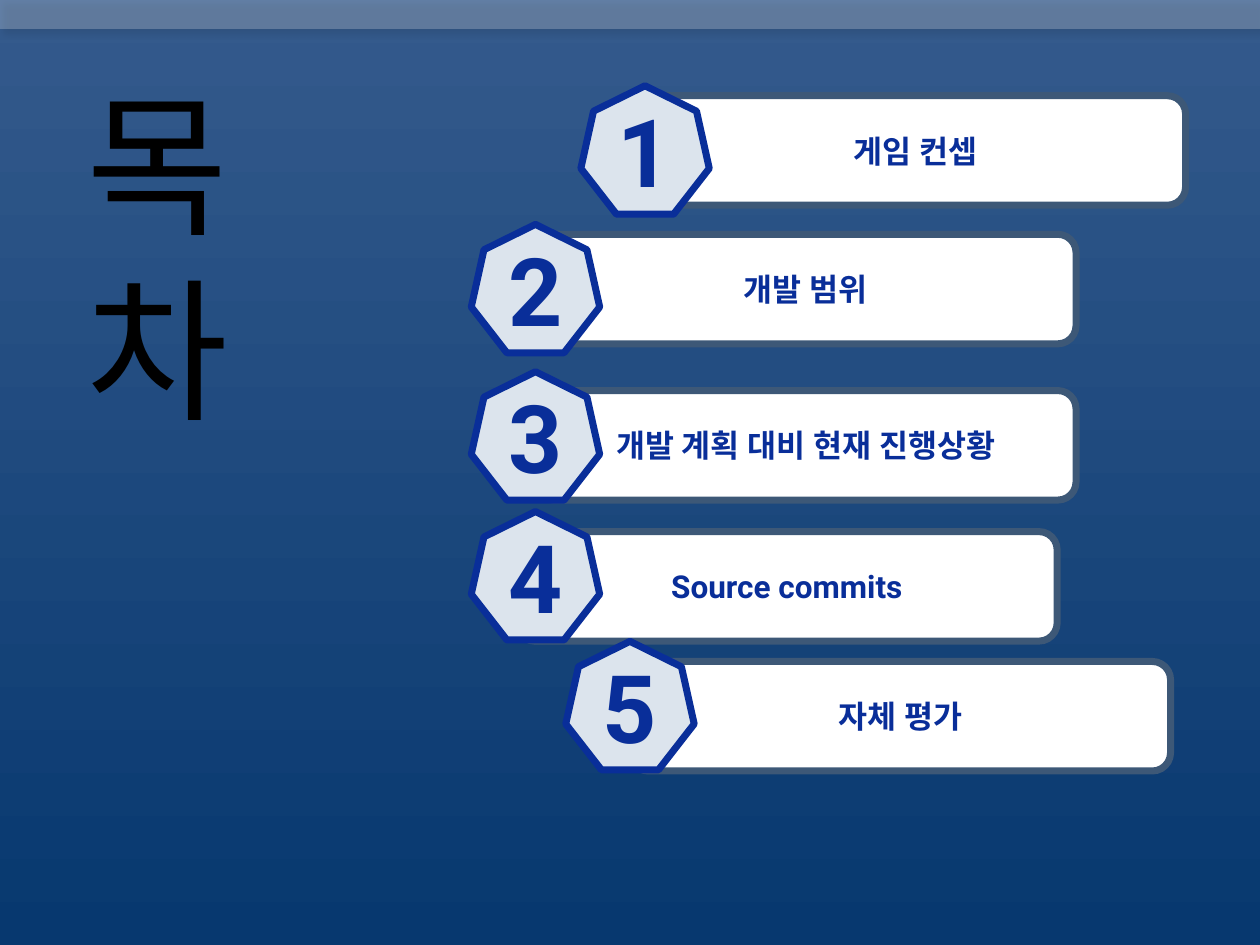
import pptx
import pptx.dml.color
import pptx.enum.shapes
import pptx.enum.text
import pptx.oxml
import pptx.oxml.ns
import pptx.util

Pt = pptx.util.Pt
MSO_SHAPE = pptx.enum.shapes.MSO_SHAPE
PP_ALIGN = pptx.enum.text.PP_ALIGN
MSO_ANCHOR = pptx.enum.text.MSO_ANCHOR
NAVY = "092E99"


def paint(color_format, hex_color):
    color_format.rgb = pptx.dml.color.RGBColor.from_string(hex_color)


def write(shape, text, size, color, bold, alignment, anchor):
    text_frame = shape.text_frame
    text_frame.text = text
    text_frame.word_wrap = True
    text_frame.vertical_anchor = anchor
    for paragraph in text_frame.paragraphs:
        paragraph.alignment = alignment
        for run in paragraph.runs:
            run.font.name = "Roboto"
            run.font.size = Pt(size)
            run.font.bold = bold
            paint(run.font.color, color)
            east_asian = pptx.oxml.parse_xml(
                f'<a:ea {pptx.oxml.ns.nsdecls("a")} typeface="Roboto"/>')
            run.font._element.find(pptx.oxml.ns.qn("a:latin")).addnext(east_asian)


presentation = pptx.Presentation()
presentation.slide_width = Pt(720)
presentation.slide_height = Pt(540)
slide = presentation.slides.add_slide(presentation.slide_layouts[5])

background = slide.background.fill
background.gradient()
background.gradient_angle = 270
for stop, position, color in zip(background.gradient_stops, (0, 1), ("345A8C", "07386F")):
    stop.position = position
    paint(stop.color, color)

strip = slide.shapes.add_shape(MSO_SHAPE.RECTANGLE, 0, 0, Pt(720), Pt(16.5))
strip.fill.solid()
paint(strip.fill.fore_color, "FFFFFF")
strip.line.fill.background()
strip_color = strip.fill._xPr.find(".//" + pptx.oxml.ns.qn("a:srgbClr"))
strip_color.append(pptx.oxml.parse_xml(
    f'<a:alpha {pptx.oxml.ns.nsdecls("a")} val="23000"/>'))
strip._element.spPr.append(pptx.oxml.parse_xml(
    f'<a:effectLst {pptx.oxml.ns.nsdecls("a")}>'
    f'<a:outerShdw blurRad="{Pt(4)}" dist="{Pt(3)}" dir="2700000" rotWithShape="0">'
    '<a:srgbClr val="000000"><a:alpha val="40000"/></a:srgbClr>'
    '</a:outerShdw></a:effectLst>'))

title = slide.shapes.title
title.left, title.top, title.width, title.height = Pt(42.5), Pt(36), Pt(130.3), Pt(218.9)
write(title, "목\n차", 88, "000000", False, PP_ALIGN.LEFT, MSO_ANCHOR.TOP)
title.text_frame.auto_size = pptx.enum.text.MSO_AUTO_SIZE.NONE

entries = [
    ("게임 컨셉", 368.6, 54.7, 331.9, 49),
    ("개발 범위", 306, 133.9, 269.3, 128.2),
    ("개발 계획 대비 현재 진행상황", 306, 223.2, 269.3, 212.4),
    ("Source commits", 295.2, 303.8, 269.3, 292.3),
    ("자체 평가", 360, 378, 323.3, 366.5),
]
for number, (label, bar_left, bar_top, badge_left, badge_top) in enumerate(entries, 1):
    bar = slide.shapes.add_shape(
        MSO_SHAPE.FLOWCHART_ALTERNATE_PROCESS, Pt(bar_left), Pt(bar_top), Pt(308.9), Pt(62.6))
    badge = slide.shapes.add_shape(
        MSO_SHAPE.HEPTAGON, Pt(badge_left), Pt(badge_top), Pt(73.4), Pt(73.4))
    for shape, text, size, fill, line in (
        (bar, label, 18, "FFFFFF", "3D5877"),
        (badge, str(number), 54, "DCE4ED", NAVY),
    ):
        shape.shadow.inherit = False
        shape.fill.solid()
        paint(shape.fill.fore_color, fill)
        paint(shape.line.color, line)
        shape.line.width = Pt(4)
        write(shape, text, size, NAVY, True, PP_ALIGN.CENTER, MSO_ANCHOR.MIDDLE)

presentation.save("out.pptx")
